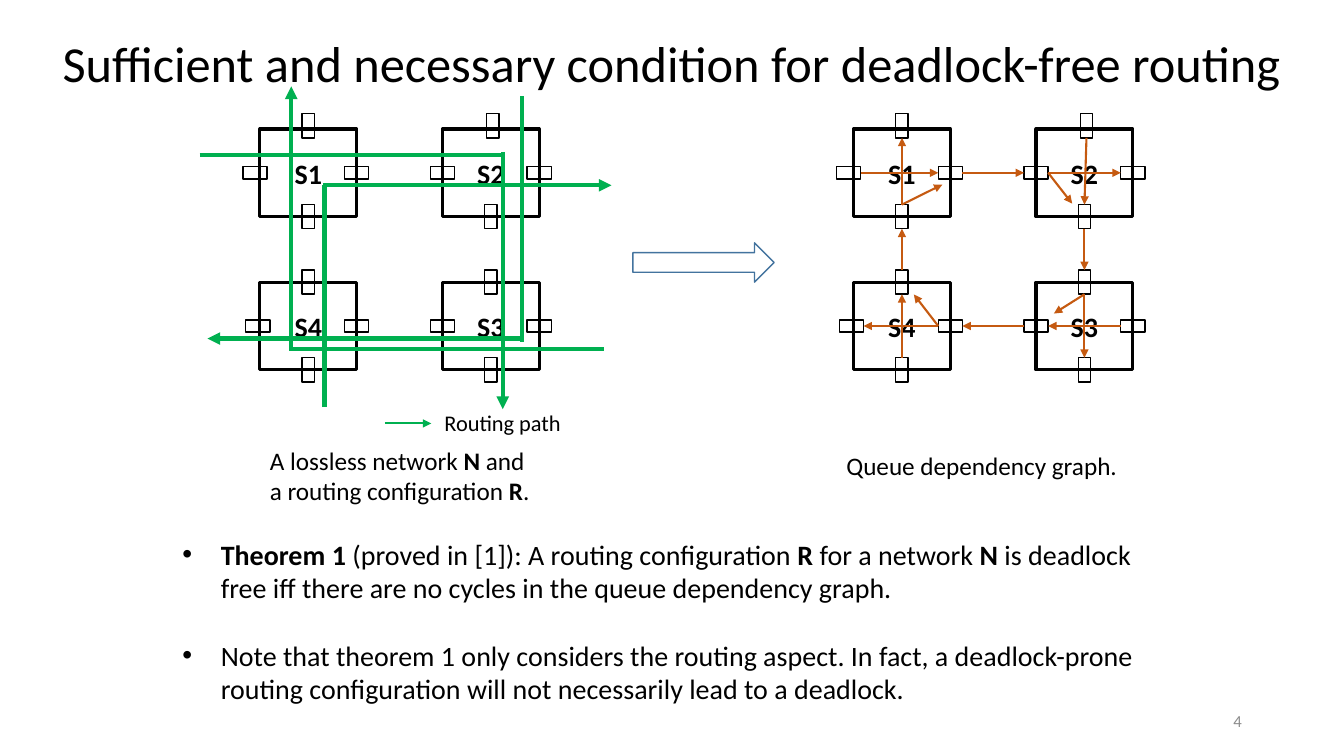
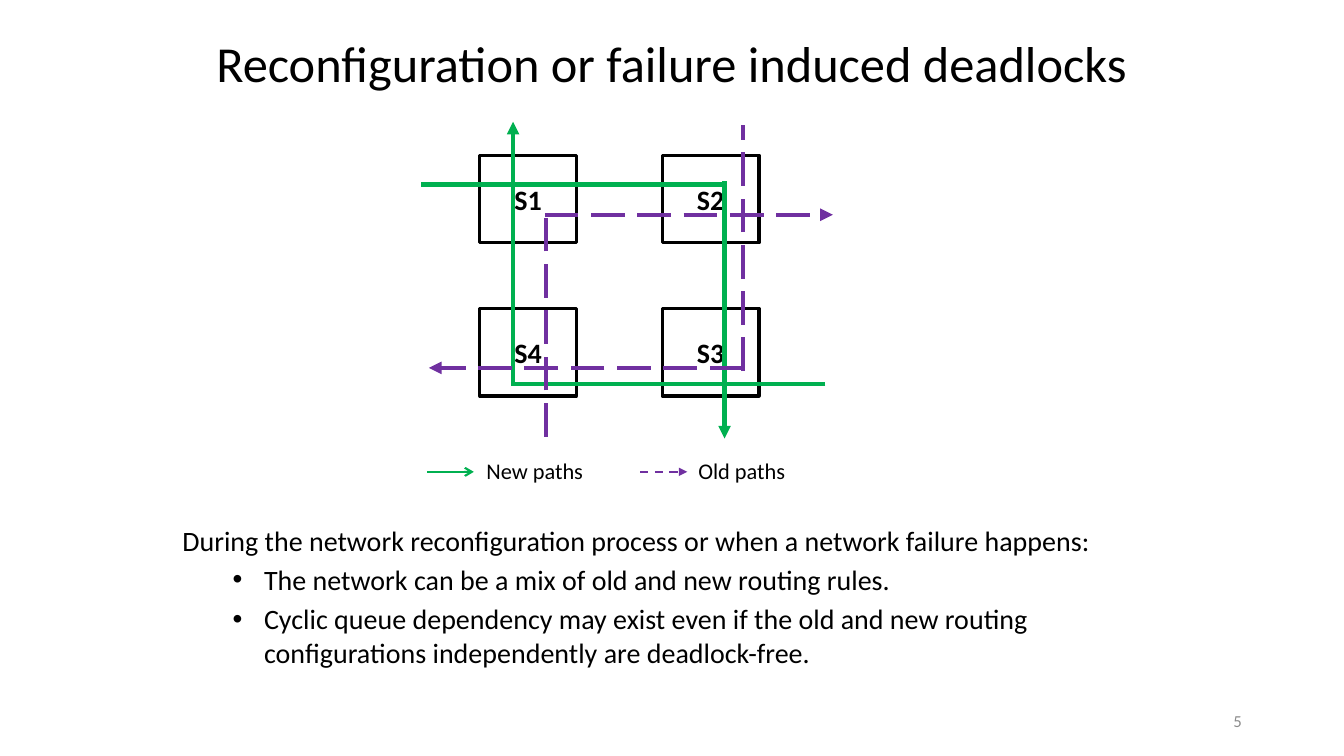
import pptx
import pptx.util
import pptx.dml.color
import pptx.enum.dml
import pptx.enum.shapes
import pptx.enum.text
import pptx.oxml.ns
from lxml import etree

Cm = pptx.util.Cm
Pt = pptx.util.Pt
RGB = pptx.dml.color.RGBColor
ALIGN = pptx.enum.text.PP_ALIGN
ANCHOR = pptx.enum.text.MSO_ANCHOR
SHAPE = pptx.enum.shapes.MSO_SHAPE
DASH = pptx.enum.dml.MSO_LINE
qn = pptx.oxml.ns.qn

# Shared style
FONT = "Calibri"
BLACK = RGB(0x00, 0x00, 0x00)
GREY = RGB(0x8C, 0x8C, 0x8C)
GREEN = RGB(0x00, 0xB0, 0x50)
PURPLE = RGB(0x70, 0x30, 0xA0)
ORANGE = RGB(0xC5, 0x5A, 0x11)
BLUE = RGB(0x43, 0x73, 0x9E)

# Network geometry in cm, measured from the top left corner of S1
SWITCH_W, SWITCH_H = 2.44, 2.21
PITCH_X, PITCH_Y = 4.6, 3.86
SWITCHES = {"S1": (0, 0), "S2": (1, 0), "S3": (1, 1), "S4": (0, 1)}
PORT_LONG, PORT_SHORT = 0.61, 0.31
PORT_SIDES = {"n": (0.5, 0), "w": (0, 0.5), "s": (0.5, 1), "e": (1, 0.5)}
PORT_NUDGES = {("S1", "w"): (-0.12, 0), ("S4", "w"): (-0.05, 0),
               ("S1", "n"): (0, -0.08), ("S2", "n"): (0.05, -0.08)}
INNER_SITE = {"n": 2, "w": 3, "s": 0, "e": 1}

# Each route: a plain leg, then a leg with an arrowhead
ROUTE_S1_S3 = ((-1.52, 0.66, 6.12, 0.66), (6.12, 0.58, 6.12, 7.06))
ROUTE_S3_S1 = ((8.66, 5.54, 0.74, 5.54), (0.79, 5.51, 0.79, -1.07))
ROUTE_S2_S4 = ((6.6, 5.36, 6.6, -0.84), (6.6, 5.28, -1.32, 5.28))
ROUTE_S4_S2 = ((1.63, 7.01, 1.63, 1.42), (1.6, 1.42, 8.86, 1.42))

# Queue dependencies between ports, and those that end inside a switch
DEPENDENCIES = ["S1w S1e", "S1e S2w", "S2w S2e", "S2n S2s", "S2s S3n", "S3n S3s",
                "S3e S3w", "S3w S4e", "S4e S4w", "S4s S4n", "S4n S1s", "S1s S1n"]
TURNS = {"S1s": (2.24, 1.4), "S2w": (5.51, 1.88),
         "S3n": (5.05, 4.65), "S4e": (1.52, 4.17)}


def write(paragraph, text, size, color=BLACK, bold=False):
    """Write text in which **...** marks bold runs."""
    for index, part in enumerate(text.split("**")):
        if part:
            run = paragraph.add_run()
            run.text = part
            run.font.name = FONT
            run.font.size = Pt(size)
            run.font.bold = bold or index % 2 == 1
            run.font.color.rgb = color


def place(shape, left, top, width, height):
    shape.left, shape.top = Cm(left), Cm(top)
    shape.width, shape.height = Cm(width), Cm(height)


def add_label(slide, text, left, top, width, height, size,
              color=BLACK, align=ALIGN.LEFT, anchor=ANCHOR.TOP):
    box = slide.shapes.add_textbox(Cm(left), Cm(top), Cm(width), Cm(height))
    frame = box.text_frame
    frame.word_wrap = True
    frame.vertical_anchor = anchor
    frame.paragraphs[0].alignment = align
    write(frame.paragraphs[0], text, size, color)


def add_outline(slide, preset, left, top, width, height, color, weight):
    shape = slide.shapes.add_shape(preset, Cm(left), Cm(top), Cm(width), Cm(height))
    shape.shadow.inherit = False
    shape.fill.background()
    shape.line.color.rgb = color
    shape.line.width = Pt(weight)
    return shape


def add_line(slide, x1, y1, x2, y2, color, weight, head=None, dash=None):
    line = slide.shapes.add_connector(pptx.enum.shapes.MSO_CONNECTOR.STRAIGHT,
                                      Cm(x1), Cm(y1), Cm(x2), Cm(y2))
    line.line.color.rgb = color
    line.line.width = Pt(weight)
    if dash:
        line.line.dash_style = dash
    properties = line._element.spPr
    if head:
        etree.SubElement(properties.find(qn("a:ln")), qn("a:tailEnd"), type=head)
    etree.SubElement(properties, qn("a:effectLst"))
    return line


def set_bullet(paragraph, margin, hanging, char=None):
    properties = paragraph._p.get_or_add_pPr()
    properties.set("marL", str(Cm(margin)))
    properties.set("indent", str(-Cm(hanging)))
    if char:
        etree.SubElement(properties, qn("a:buFont"), typeface="Arial")
        etree.SubElement(properties, qn("a:buChar"), char=char)
    else:
        etree.SubElement(properties, qn("a:buNone"))


def add_slide(prs, title, number):
    """Add a slide with the shared title and page number."""
    slide = prs.slides.add_slide(prs.slide_layouts[1])
    heading = slide.shapes.title
    place(heading, 0.38, 0.69, 33.1, 1.8)
    frame = heading.text_frame
    frame.auto_size = pptx.enum.text.MSO_AUTO_SIZE.NONE
    frame.vertical_anchor = ANCHOR.TOP
    frame.paragraphs[0].alignment = ALIGN.CENTER
    write(frame.paragraphs[0], title, 36)
    add_label(slide, number, 23.93, 17.65, 7.62, 1.02, 12,
              GREY, ALIGN.RIGHT, ANCHOR.MIDDLE)
    return slide


def fill_body(slide, top, height, items):
    """Items are (text, level, left margin, hanging indent, bullet, space before)."""
    body = slide.placeholders[1]
    place(body, 4.34, top, 25.1, height)
    frame = body.text_frame
    frame.auto_size = pptx.enum.text.MSO_AUTO_SIZE.NONE
    for index, (text, level, margin, hanging, char, space) in enumerate(items):
        paragraph = frame.add_paragraph() if index else frame.paragraphs[0]
        paragraph.level = level
        set_bullet(paragraph, margin, hanging, char)
        paragraph.space_before = Pt(space)
        write(paragraph, text, 20)


def add_switches(slide, x, y):
    for name, (column, row) in SWITCHES.items():
        switch = add_outline(slide, SHAPE.RECTANGLE, x + column * PITCH_X,
                             y + row * PITCH_Y, SWITCH_W, SWITCH_H, BLACK, 2.25)
        frame = switch.text_frame
        frame.vertical_anchor = ANCHOR.MIDDLE
        frame.paragraphs[0].alignment = ALIGN.CENTER
        write(frame.paragraphs[0], name, 20, bold=True)


def add_ports(slide, x, y):
    """Centre a port on each side of each switch; return them by name."""
    ports = {}
    for name, (column, row) in SWITCHES.items():
        for side, (across, down) in PORT_SIDES.items():
            dx, dy = PORT_NUDGES.get((name, side), (0, 0))
            width, height = PORT_SHORT, PORT_LONG
            if side in "we":
                width, height = height, width
            left = x + column * PITCH_X + across * SWITCH_W + dx - width / 2
            top = y + row * PITCH_Y + down * SWITCH_H + dy - height / 2
            ports[name + side] = add_outline(slide, SHAPE.RECTANGLE, left, top,
                                             width, height, BLACK, 1)
    return ports


def add_route(slide, legs, x, y, color, dash=None):
    for (x1, y1, x2, y2), head in zip(legs, (None, "triangle")):
        add_line(slide, x + x1, y + y1, x + x2, y + y2, color, 3, head, dash)


def add_dependencies(slide, ports, x, y):
    for dependency in DEPENDENCIES:
        source, target = dependency.split()
        # Links between switches use the outer ends of the ports
        turn = 0 if source[:2] == target[:2] else 2
        arrow = add_line(slide, x, y, x, y, ORANGE, 1.5, "triangle")
        arrow.begin_connect(ports[source], (INNER_SITE[source[2]] + turn) % 4)
        arrow.end_connect(ports[target], (INNER_SITE[target[2]] + turn) % 4)
    for source, (dx, dy) in TURNS.items():
        arrow = add_line(slide, x, y, x + dx, y + dy, ORANGE, 1.5, "triangle")
        arrow.begin_connect(ports[source], INNER_SITE[source[2]])


def build_condition_slide(prs):
    slide = add_slide(
        prs, "Sufficient and necessary condition for deadlock-free routing", "4")
    # Network with its routing paths
    x, y = 6.55, 3.25
    add_switches(slide, x, y)
    add_ports(slide, x, y)
    for route in (ROUTE_S1_S3, ROUTE_S3_S1, ROUTE_S2_S4, ROUTE_S4_S2):
        add_route(slide, route, x, y, GREEN)
    add_line(slide, 9.7, 10.67, 10.87, 10.67, GREEN, 1.5, "triangle")
    add_label(slide, "Routing path", 10.95, 10.19, 3.7, 0.94, 16)
    add_label(slide, "A lossless network **N** and a routing configuration **R**.",
              6.55, 11.1, 7.19, 1.8, 18)
    add_outline(slide, SHAPE.RIGHT_ARROW, 15.95, 6.12, 3.56, 0.99, BLUE, 1)
    # Queue dependency graph
    x = 21.51
    add_switches(slide, x, y)
    add_dependencies(slide, add_ports(slide, x, y), x, y)
    add_label(slide, "Queue dependency graph.", 21.08, 11.23, 7.75, 1.02, 18)
    # Theorem
    fill_body(slide, 13.41, 4.52, [
        ("**Theorem 1 **(proved in [1]): A routing configuration **R** for a network "
         "**N** is deadlock free iff there are no cycles in the queue dependency graph.",
         0, 0.97, 0.97, "•", 0),
        ("Note that theorem 1 only considers the routing aspect. In fact, a "
         "deadlock-prone routing configuration will not necessarily lead to a deadlock.",
         0, 0.97, 0.97, "•", 24)])


def build_reconfiguration_slide(prs):
    slide = add_slide(prs, "Reconfiguration or failure induced deadlocks", "5")
    # Network with new and old paths
    x, y = 12.09, 3.91
    add_switches(slide, x, y)
    add_route(slide, ROUTE_S1_S3, x + 0.05, y + 0.08, GREEN)
    add_route(slide, ROUTE_S3_S1, x + 0.05, y + 0.23, GREEN)
    for route in (ROUTE_S2_S4, ROUTE_S4_S2):
        add_route(slide, route, x + 0.04, y + 0.08, PURPLE, DASH.LONG_DASH)
    # Legend
    add_line(slide, 10.77, 11.89, 11.94, 11.89, GREEN, 1.5, "arrow")
    add_label(slide, "New paths", 12.01, 11.4, 3.2, 0.94, 16)
    add_line(slide, 16.13, 11.89, 17.32, 11.89, PURPLE, 1.5, "triangle", DASH.DASH)
    add_label(slide, "Old paths", 17.35, 11.4, 3.2, 0.94, 16)
    # Explanation
    fill_body(slide, 13.06, 4.17, [
        ("During the network reconfiguration process or when a network failure happens:",
         0, 0, 0, None, 0),
        ("The network can be a mix of old and new routing rules.",
         1, 2.06, 0.79, "•", 4),
        ("Cyclic queue dependency may exist even if the old and new routing "
         "configurations independently are deadlock-free.",
         1, 2.06, 0.79, "•", 4)])


def main():
    prs = pptx.Presentation()
    prs.slide_width, prs.slide_height = Cm(33.87), Cm(19.05)
    build_condition_slide(prs)
    build_reconfiguration_slide(prs)
    prs.save("out.pptx")


if __name__ == "__main__":
    main()
